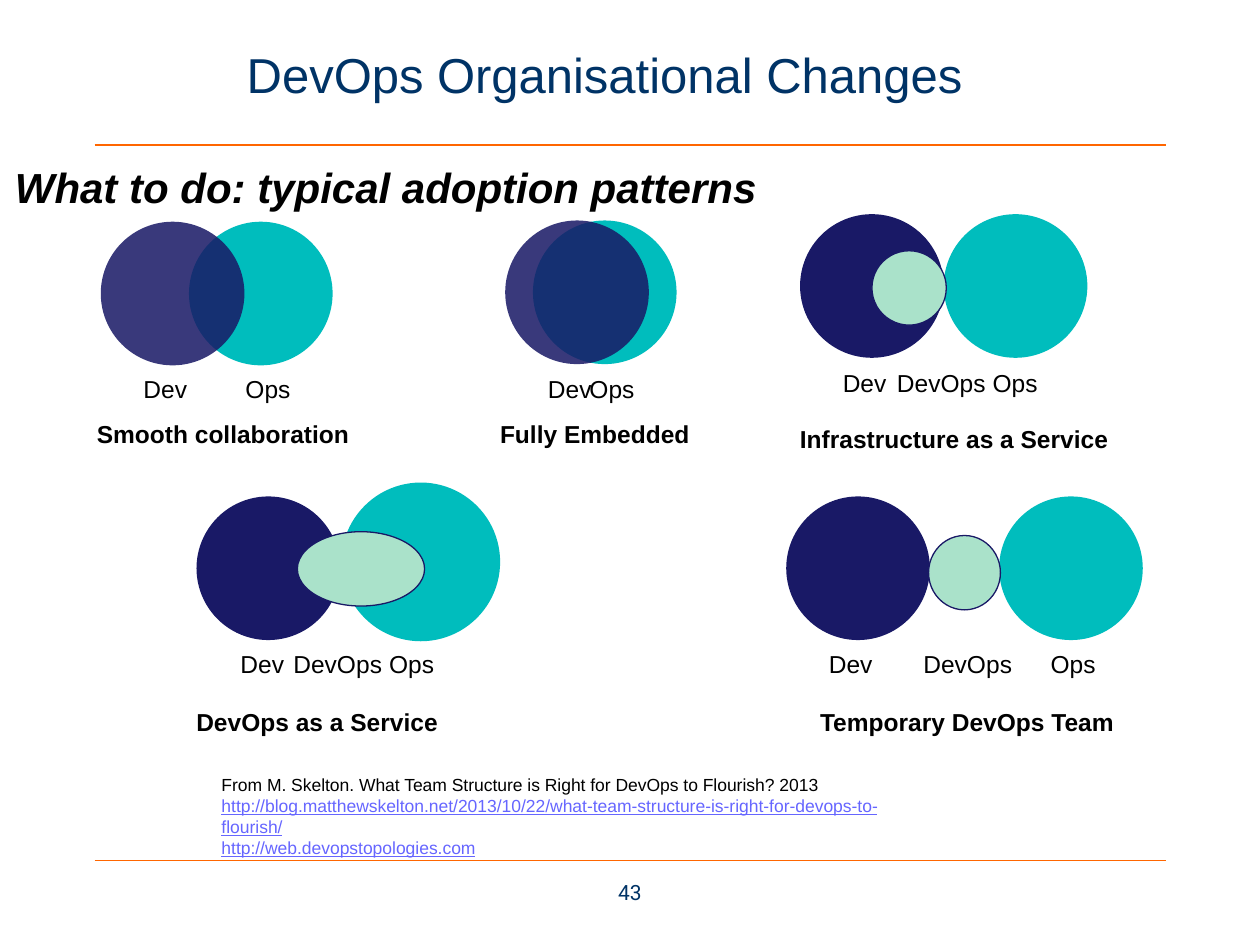
from pptx import Presentation
from pptx.dml.color import RGBColor
from pptx.enum import shapes, text
from pptx.oxml.ns import qn
from pptx.util import Inches, Pt
from lxml import etree

NAVY = RGBColor(0x19, 0x19, 0x66)
TEAL = RGBColor(0x00, 0xBD, 0xBD)
MINT = RGBColor(0xAA, 0xE2, 0xCA)
ORANGE = RGBColor(0xFF, 0x66, 0x00)
BLUE = RGBColor(0x00, 0x33, 0x66)
LINK = RGBColor(0x66, 0x66, 0xFF)
BLACK = RGBColor(0, 0, 0)

deck = Presentation()
deck.slide_width, deck.slide_height = Inches(10), Inches(7.5)
slide = deck.slides.add_slide(deck.slide_layouts[6])


def write(words, x, y, w, h, size=14, color=BLACK, bold=False, wrap=False, name="Arial"):
    frame = slide.shapes.add_textbox(Inches(x), Inches(y), Inches(w), Inches(h)).text_frame
    frame.word_wrap = wrap
    frame.text = words
    for para in frame.paragraphs:
        font = para.font
        font.name, font.size, font.bold = name, Pt(size), bold
        font.color.rgb = color
    return frame


def circle(x, y, w, h, color, edge=False, alpha=None):
    oval = slide.shapes.add_shape(
        shapes.MSO_SHAPE.OVAL, Inches(x), Inches(y), Inches(w), Inches(h))
    oval.shadow.inherit = False
    oval.fill.solid()
    oval.fill.fore_color.rgb = color
    if alpha:
        tint = oval._element.spPr.find(qn("a:solidFill"))[0]
        etree.SubElement(tint, qn("a:alpha")).set("val", str(alpha * 1000))
    if edge:
        oval.line.color.rgb = NAVY
        oval.line.width = Pt(0.75)
    else:
        oval.line.fill.background()


# Rules above and below the content
for y in (1.15, 6.83):
    rule = slide.shapes.add_connector(
        shapes.MSO_CONNECTOR.STRAIGHT, Inches(0.75), Inches(y), Inches(9.25), Inches(y))
    rule.line.color.rgb = ORANGE
    rule.line.width = Pt(0.75)
    etree.SubElement(rule._element.spPr, qn("a:effectLst"))

# Title, subtitle and page number
title = write("DevOps Organisational Changes", 1.86, 0.13, 6.21, 0.92, 28, BLUE, wrap=True)
title.vertical_anchor = text.MSO_ANCHOR.MIDDLE
head = write("What to do: typical adoption patterns", 0.02, 1.23, 6.17, 0.5, 24, bold=True)
head.paragraphs[0].font.italic = True
page = write("43", 4.47, 6.93, 1.06, 0.25, 12, BLUE, wrap=True, name="Roboto")
page.paragraphs[0].alignment = text.PP_ALIGN.CENTER

# Overlapping teams: Dev is see-through and lies over Ops
D = 1.14
for dev, ops, y in ((0.8, 1.5, 1.76), (4.01, 4.23, 1.75)):
    circle(ops, y, D, D, TEAL)
    circle(dev, y, D, D, NAVY, alpha=86)

# Teams joined by DevOps: Dev x, Ops x, top, Ops top, Ops size, DevOps box
for dev, ops, y, top, size, mid in (
    (6.35, 7.49, 1.7, 1.7, D, (6.92, 1.99, 0.59, 0.59)),
    (1.56, 2.71, 3.94, 3.83, 1.26, (2.36, 4.22, 1.01, 0.59)),
    (6.24, 7.93, 3.94, 3.94, D, (7.37, 4.25, 0.57, 0.59)),
):
    circle(dev, y, D, D, NAVY)
    circle(ops, top, size, size, TEAL)
    circle(*mid, MINT, edge=True)

# Team labels: top, then x of Dev, Ops and DevOps
WIDE = {"Dev": 0.55, "Ops": 0.56, "DevOps": 0.91}
for y, *row in (
    (2.92, 1.04, 1.85),
    (2.92, 4.25, 4.58),
    (2.87, 6.59, 7.78, 7.02),
    (5.1, 1.81, 2.99, 2.23),
    (5.1, 6.48, 8.24, 7.23),
):
    for (team, w), x in zip(WIDE.items(), row):
        write(team, x, y, w, 0.34)

# Pattern names
for name, x, y, w in (
    ("Smooth collaboration", 0.67, 3.28, 2.22),
    ("Fully Embedded", 3.87, 3.28, 1.72),
    ("Infrastructure as a Service", 6.25, 3.32, 2.67),
    ("DevOps as a Service", 1.46, 5.56, 2.14),
    ("Temporary DevOps Team", 6.41, 5.56, 2.55),
):
    write(name, x, y, w, 0.34, bold=True)

# Source with its two web addresses
cite = write(
    "From M. Skelton. What Team Structure is Right for DevOps to Flourish? 2013\v"
    "http://blog.matthewskelton.net/2013/10/22/what-team-structure-is-right-for-devops-to-flourish/\n"
    "http://web.devopstopologies.com", 1.66, 6.09, 5.8, 0.61, 10, wrap=True)
for para in cite.paragraphs:
    link = para.runs[-1].font
    link.color.rgb = LINK
    link.underline = True

deck.save("out.pptx")
